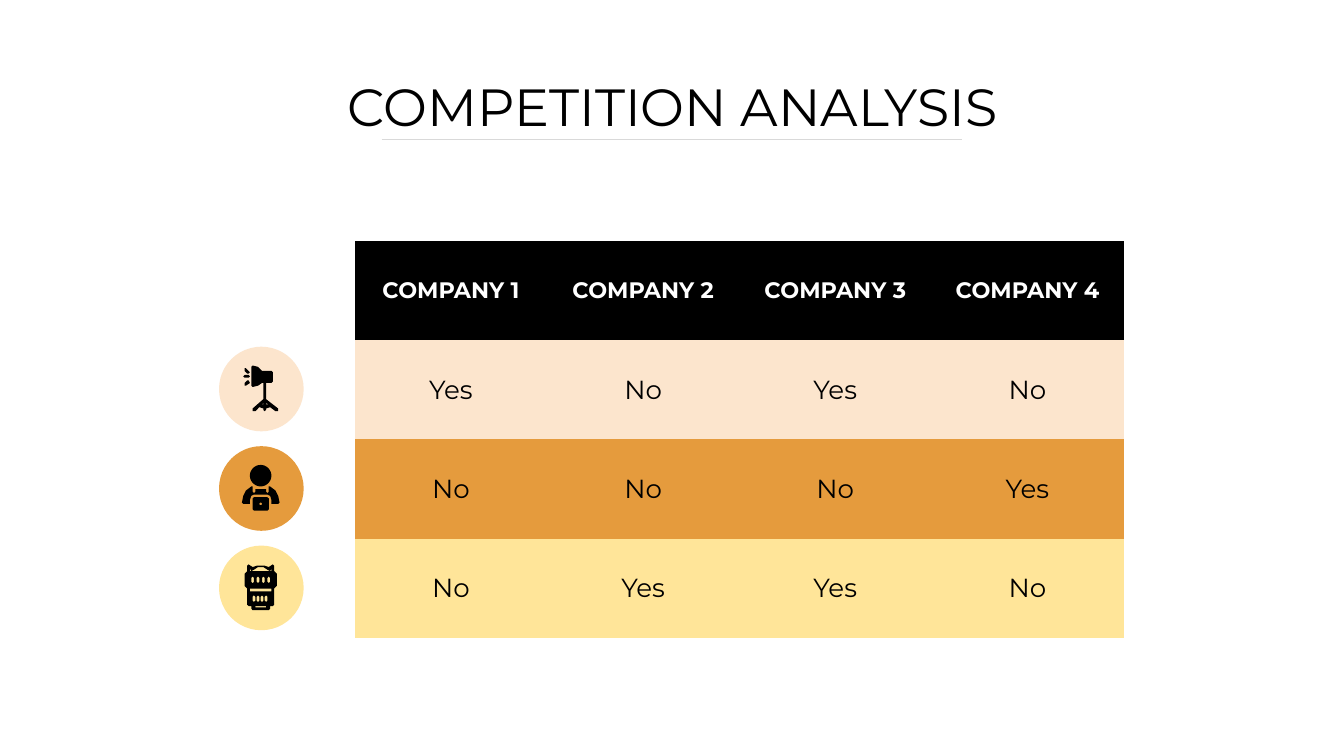
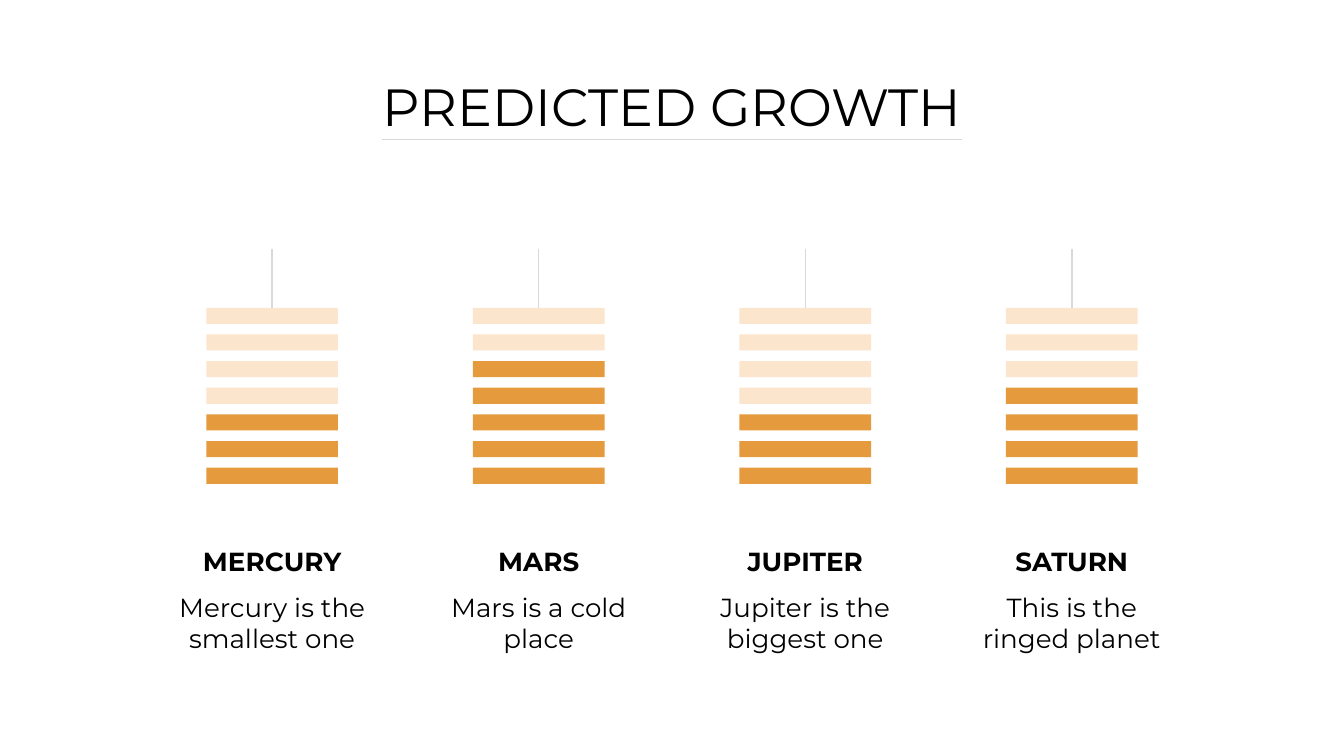
import math
from dataclasses import dataclass
from typing import Any, NamedTuple

from pptx import Presentation
from pptx import util as u
from pptx.dml.color import RGBColor
from pptx.enum import shapes as s
from pptx.enum import text as t
from pptx.oxml.ns import qn
from pptx.oxml.xmlchemy import OxmlElement

COLOURS = {
    "ink": "000000",
    "paper": "FFFFFF",
    "rule": "D9D9D9",
    "peach": "FCE5CD",
    "orange": "E59B3D",
    "yellow": "FFE599",
}
FONT = "Montserrat"
INSET = u.Inches(0.1)
SLIDE_WIDTH = u.Inches(10)
SLIDE_HEIGHT = SLIDE_WIDTH * 9 // 16
TITLE_ONLY = 5
NO_TABLE_STYLE = "{2D5ABB26-0587-4C30-8999-92F81FD0307C}"

Point = tuple[float, float]
Outline = list[Point]


class Box(NamedTuple):
    left: float
    top: float
    width: float
    height: float

    def lengths(self) -> list[u.Length]:
        return [u.Inches(value) for value in self]


@dataclass
class Criterion:
    colour: str
    answers: list[str]
    icon: list[list[Outline]]


@dataclass
class Planet:
    name: str
    description: str
    filled_bars: int


# Icon geometry: each icon is a list of parts, each part an outline and its holes.
ICON_CENTRE = 1.94


def symmetric(half: Outline) -> Outline:
    """Complete a right-hand half outline with its mirror image."""
    mirrored = [(2 * ICON_CENTRE - x, y) for x, y in reversed(half)]
    return half + mirrored


def octagon(left: float, top: float, width: float, height: float, cut: float) -> Outline:
    """Rectangle with its corners cut off."""
    right, bottom = left + width, top + height
    return [
        (left + cut, top), (right - cut, top), (right, top + cut), (right, bottom - cut),
        (right - cut, bottom), (left + cut, bottom), (left, bottom - cut), (left, top + cut),
    ]


def circle(centre_y: float, radius: float, steps: int = 32) -> Outline:
    angles = [math.tau * step / steps for step in range(steps)]
    return [
        (ICON_CENTRE + radius * math.cos(angle), centre_y + radius * math.sin(angle))
        for angle in angles
    ]


def slots(first: float, pitch: float, top: float, height: float) -> list[Outline]:
    return [octagon(first + pitch * i, top, 0.02, height, 0.01) for i in range(4)]


LAMP = [
    [
        [
            (1.88, 2.72), (1.87, 2.73), (1.87, 2.87), (1.88, 2.88), (1.92, 2.87), (1.95, 2.85),
            (1.96, 2.85), (1.96, 2.97), (1.88, 3.04), (1.88, 3.06), (1.9, 3.06), (1.93, 3.03),
            (1.96, 3.04), (1.96, 3.05), (1.97, 3.06), (1.98, 3.05), (1.98, 3.04), (2.01, 3.03),
            (2.05, 3.06), (2.07, 3.06), (2.07, 3.04), (1.98, 2.97), (1.98, 2.85), (2.02, 2.85),
            (2.03, 2.84), (2.03, 2.77), (2.02, 2.76), (1.95, 2.76), (1.92, 2.73),
        ],
        [(1.96, 3), (1.96, 3.01), (1.95, 3.01)],
        [(1.98, 3), (2, 3.01), (1.98, 3.01)],
    ],
    [octagon(1.81, 2.79, 0.05, 0.02, 0.01)],
    [[(1.83, 2.74), (1.82, 2.74), (1.82, 2.76), (1.84, 2.78), (1.85, 2.78), (1.86, 2.77)]],
    [[(1.84, 2.83), (1.82, 2.85), (1.82, 2.87), (1.83, 2.87), (1.86, 2.85), (1.85, 2.83)]],
]
WORKER = [
    [circle(3.54, 0.08)],
    [octagon(1.88, 3.7, 0.12, 0.1, 0.01), circle(3.75, 0.01)],
    [symmetric([
        (1.98, 3.64), (1.98, 3.66), (1.99, 3.67), (2, 3.66), (2, 3.62), (2.01, 3.62),
        (2.05, 3.65), (2.07, 3.69), (2.08, 3.74), (2.07, 3.75), (2.02, 3.75), (2.02, 3.72),
        (2.01, 3.69), (1.99, 3.68),
    ])],
]
LENS = [
    [
        symmetric([
            (1.97, 4.21), (2, 4.22), (2.03, 4.2), (2.04, 4.21), (2.04, 4.25), (2.06, 4.27),
            (2.06, 4.36), (2.04, 4.38), (2.04, 4.5), (2.03, 4.51), (2.01, 4.51), (2.01, 4.53),
            (2, 4.54),
        ]),
        symmetric([(1.96, 4.22), (1.99, 4.24), (2.01, 4.25), (2.02, 4.23), (2.02, 4.25)]),
        symmetric([(2.02, 4.38), (2.02, 4.4)]),
        symmetric([(1.98, 4.51), (1.98, 4.52)]),
        *slots(1.87, 0.04, 4.29, 0.05),
        *slots(1.88, 0.03, 4.43, 0.05),
    ],
]

COMPANIES = [f"COMPANY {number}" for number in range(1, 5)]
CRITERIA = [
    Criterion("peach", ["Yes", "No", "Yes", "No"], LAMP),
    Criterion("orange", ["No", "No", "No", "Yes"], WORKER),
    Criterion("yellow", ["No", "Yes", "Yes", "No"], LENS),
]
TABLE_LEFT, TABLE_TOP = 2.64, 1.79
COLUMN_WIDTH, ROW_HEIGHT = 1.43, 0.74
DISC_LEFT, DISC_TOP, DISC_SIZE = 1.63, 2.58, 0.63

PLANETS = [
    Planet("MERCURY", "Mercury is the smallest one", 3),
    Planet("MARS", "Mars is a cold place", 5),
    Planet("JUPITER", "Jupiter is the biggest one", 3),
    Planet("SATURN", "This is the ringed planet", 4),
]
FIRST_PLANET, LAST_PLANET, CAPTION_WIDTH = 1.2, 7.15, 1.65
BAR_COUNT, BAR_WIDTH, BAR_HEIGHT = 7, 0.98, 0.12
TOP_BAR, BOTTOM_BAR = 2.29, 3.48
STEM_TOP = 1.85


def colour(name: str) -> RGBColor:
    return RGBColor.from_string(COLOURS[name])


def write(
    frame: Any,
    content: str,
    *,
    size: float,
    ink: str = "ink",
    bold: bool = False,
    space_after: float = 0,
) -> None:
    frame.text = content
    paragraph = frame.paragraphs[0]
    paragraph.alignment = t.PP_ALIGN.CENTER
    paragraph.space_after = u.Pt(space_after)
    font = paragraph.runs[0].font
    font.name, font.size, font.bold = FONT, u.Pt(size), bold
    font.color.rgb = colour(ink)


def set_insets(target: Any) -> None:
    target.margin_left = target.margin_right = INSET
    target.margin_top = target.margin_bottom = INSET


def set_frame(frame: Any, anchor: t.MSO_ANCHOR) -> None:
    set_insets(frame)
    frame.word_wrap = True
    frame.auto_size = t.MSO_AUTO_SIZE.NONE
    frame.vertical_anchor = anchor


def paint(shape: Any, fill: str) -> None:
    shape.shadow.inherit = False
    shape.fill.solid()
    shape.fill.fore_color.rgb = colour(fill)
    shape.line.fill.background()


def add_rule(slide: Any, start: Point, end: Point) -> None:
    ends = [u.Inches(value) for value in (*start, *end)]
    connector = slide.shapes.add_connector(s.MSO_CONNECTOR.STRAIGHT, *ends)
    connector.line.color.rgb = colour("rule")
    connector.line.width = u.Pt(0.75)
    connector._element.spPr.append(OxmlElement("a:effectLst"))


def add_caption(slide: Any, box: Box, content: str, anchor: t.MSO_ANCHOR, **style: Any) -> None:
    frame = slide.shapes.add_textbox(*box.lengths()).text_frame
    set_frame(frame, anchor)
    write(frame, content, size=14, **style)


def add_titled_slide(presentation: Any, heading: str) -> Any:
    slide = presentation.slides.add_slide(presentation.slide_layouts[TITLE_ONLY])
    slide.background.fill.solid()
    slide.background.fill.fore_color.rgb = colour("paper")
    title = slide.shapes.title
    title.left, title.top, title.width, title.height = Box(0.59, 0.49, 8.82, 0.63).lengths()
    set_frame(title.text_frame, t.MSO_ANCHOR.BOTTOM)
    write(title.text_frame, heading, size=28)
    add_rule(slide, (2.84, 1.04), (7.16, 1.04))
    return slide


def add_icon(slide: Any, parts: list[list[Outline]]) -> None:
    group = slide.shapes.add_group_shape()
    for outlines in parts:
        scaled = [[(u.Inches(x), u.Inches(y)) for x, y in outline] for outline in outlines]
        builder = group.shapes.build_freeform(*scaled[0][0])
        builder.add_line_segments(scaled[0][1:])
        for hole in scaled[1:]:
            builder.move_to(*hole[0])
            builder.add_line_segments(hole[1:])
        paint(builder.convert_to_shape(), "ink")


def fill_row(table: Any, row: int, texts: list[str], fill: str, **style: Any) -> None:
    table.rows[row].height = u.Inches(ROW_HEIGHT)
    for column, content in enumerate(texts):
        cell = table.cell(row, column)
        cell.fill.solid()
        cell.fill.fore_color.rgb = colour(fill)
        cell.vertical_anchor = t.MSO_ANCHOR.MIDDLE
        set_insets(cell)
        write(cell.text_frame, content, **style)


def add_competition_slide(presentation: Any) -> None:
    slide = add_titled_slide(presentation, "COMPETITION ANALYSIS")
    rows, columns = len(CRITERIA) + 1, len(COMPANIES)
    box = Box(TABLE_LEFT, TABLE_TOP, COLUMN_WIDTH * columns, ROW_HEIGHT * rows)
    table = slide.shapes.add_table(rows, columns, *box.lengths()).table
    table.first_row = table.horz_banding = False
    table._tbl.tblPr.find(qn("a:tableStyleId")).text = NO_TABLE_STYLE

    fill_row(table, 0, COMPANIES, "ink", size=12, ink="paper", bold=True)
    for index, criterion in enumerate(CRITERIA):
        fill_row(table, index + 1, criterion.answers, criterion.colour, size=14)
        disc_box = Box(DISC_LEFT, DISC_TOP + ROW_HEIGHT * index, DISC_SIZE, DISC_SIZE)
        disc = slide.shapes.add_shape(s.MSO_SHAPE.OVAL, *disc_box.lengths())
        paint(disc, criterion.colour)
        add_icon(slide, criterion.icon)


def add_planet(slide: Any, planet: Planet, left: float) -> None:
    centre = left + CAPTION_WIDTH / 2
    pitch = (BOTTOM_BAR - TOP_BAR) / (BAR_COUNT - 1)
    group = slide.shapes.add_group_shape()
    for level in range(BAR_COUNT):
        box = Box(centre - BAR_WIDTH / 2, BOTTOM_BAR - pitch * level, BAR_WIDTH, BAR_HEIGHT)
        bar = group.shapes.add_shape(s.MSO_SHAPE.RECTANGLE, *box.lengths())
        paint(bar, "orange" if level < planet.filled_bars else "peach")
    add_rule(slide, (centre, TOP_BAR), (centre, STEM_TOP))
    add_caption(slide, Box(left, 4.3, CAPTION_WIDTH, 0.85), planet.description,
                t.MSO_ANCHOR.TOP, space_after=16)
    add_caption(slide, Box(left, 3.87, CAPTION_WIDTH, 0.52), planet.name,
                t.MSO_ANCHOR.BOTTOM, bold=True)


def add_growth_slide(presentation: Any) -> None:
    slide = add_titled_slide(presentation, "PREDICTED GROWTH")
    pitch = (LAST_PLANET - FIRST_PLANET) / (len(PLANETS) - 1)
    for index, planet in enumerate(PLANETS):
        add_planet(slide, planet, FIRST_PLANET + pitch * index)


def main() -> None:
    presentation = Presentation()
    presentation.slide_width = SLIDE_WIDTH
    presentation.slide_height = SLIDE_HEIGHT
    add_competition_slide(presentation)
    add_growth_slide(presentation)
    presentation.save("out.pptx")


if __name__ == "__main__":
    main()
